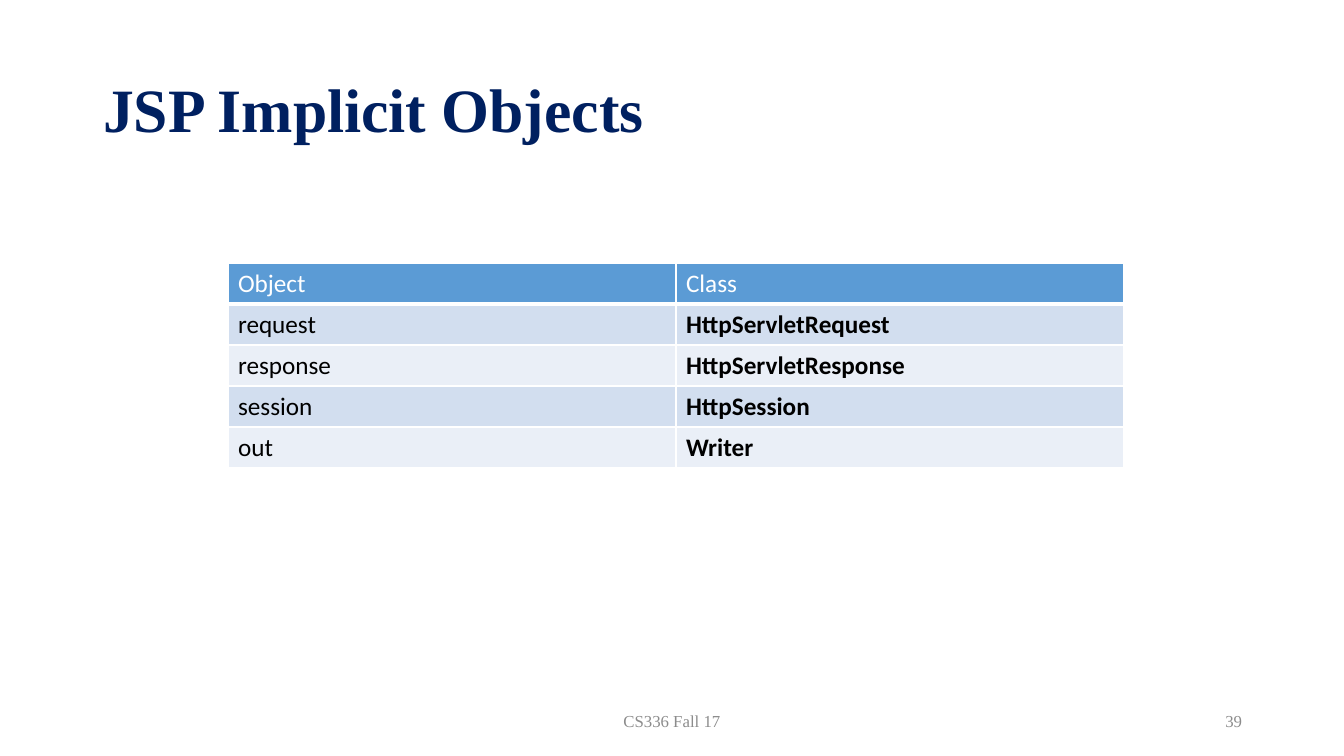
from lxml import etree
from pptx import Presentation
from pptx.dml.color import RGBColor
from pptx.enum.text import MSO_ANCHOR, PP_ALIGN
from pptx.oxml.ns import qn
from pptx.util import Emu, Pt

LEFT, CENTER, RIGHT = PP_ALIGN.LEFT, PP_ALIGN.CENTER, PP_ALIGN.RIGHT
MIDDLE = MSO_ANCHOR.MIDDLE
EMU_PER_PIXEL = 914400 / 100.8
COLORS = {
    "title": "002060",
    "header": "5B9BD5",
    "band_dark": "D2DEEF",
    "band_light": "EAEFF7",
    "white": "FFFFFF",
    "black": "000000",
    "footer": "8C8C8C",
}


def pixels(value):
    return Emu(round(value * EMU_PER_PIXEL))


def write_text(text_frame, text, color, alignment=LEFT, **font_format):
    paragraph = text_frame.paragraphs[0]
    paragraph.alignment = alignment
    run = paragraph.add_run()
    run.text = text
    run.font.color.rgb = RGBColor.from_string(COLORS[color])
    for name, value in font_format.items():
        setattr(run.font, name, value)
    return paragraph


presentation = Presentation()
presentation.slide_width = pixels(1344)
presentation.slide_height = pixels(756)
slide = presentation.slides.add_slide(presentation.slide_layouts[5])

title = slide.shapes.title
title_box = {"left": 93, "top": 40, "width": 1159, "height": 146}
for name, value in title_box.items():
    setattr(title, name, pixels(value))
title.text_frame.vertical_anchor = MIDDLE
title_paragraph = write_text(
    title.text_frame, "JSP Implicit Objects", "title",
    name="Times New Roman", size=Pt(44), bold=True,
)
title_paragraph.line_spacing = 0.9

implicit_objects = [
    ("Object", "Class"),
    ("request", "HttpServletRequest"),
    ("response", "HttpServletResponse"),
    ("session", "HttpSession"),
    ("out", "Writer"),
]
column_width, row_height = 448, 41
table = slide.shapes.add_table(
    len(implicit_objects), 2, pixels(228), pixels(263),
    pixels(2 * column_width), pixels(len(implicit_objects) * row_height),
).table
for column in table.columns:
    column.width = pixels(column_width)
for row_index, entries in enumerate(implicit_objects):
    table.rows[row_index].height = pixels(row_height)
    is_header = row_index == 0
    band = "band_dark" if row_index % 2 else "band_light"
    for column_index, entry in enumerate(entries):
        cell = table.cell(row_index, column_index)
        write_text(
            cell.text_frame, entry, "white" if is_header else "black",
            name="Calibri", size=Pt(18), bold=column_index == 1 and not is_header,
        )
        properties = cell._tc.get_or_add_tcPr()
        for side in ("lnL", "lnR", "lnT", "lnB"):
            border_width = Pt(3) if is_header and side == "lnB" else Pt(1)
            border = etree.SubElement(properties, qn(f"a:{side}"), w=str(border_width))
            border_fill = etree.SubElement(border, qn("a:solidFill"))
            etree.SubElement(border_fill, qn("a:srgbClr"), val=COLORS["white"])
        cell.fill.solid()
        cell.fill.fore_color.rgb = RGBColor.from_string(COLORS["header" if is_header else band])

footers = [
    ("CS336 Fall 17", 445, 454, CENTER),
    ("39", 949, 303, RIGHT),
]
for text, left, width, alignment in footers:
    footer = slide.shapes.add_textbox(pixels(left), pixels(701), pixels(width), pixels(40))
    footer.text_frame.word_wrap = True
    footer.text_frame.vertical_anchor = MIDDLE
    write_text(
        footer.text_frame, text, "footer", alignment,
        name="Times New Roman", size=Pt(12),
    )

presentation.save("out.pptx")
